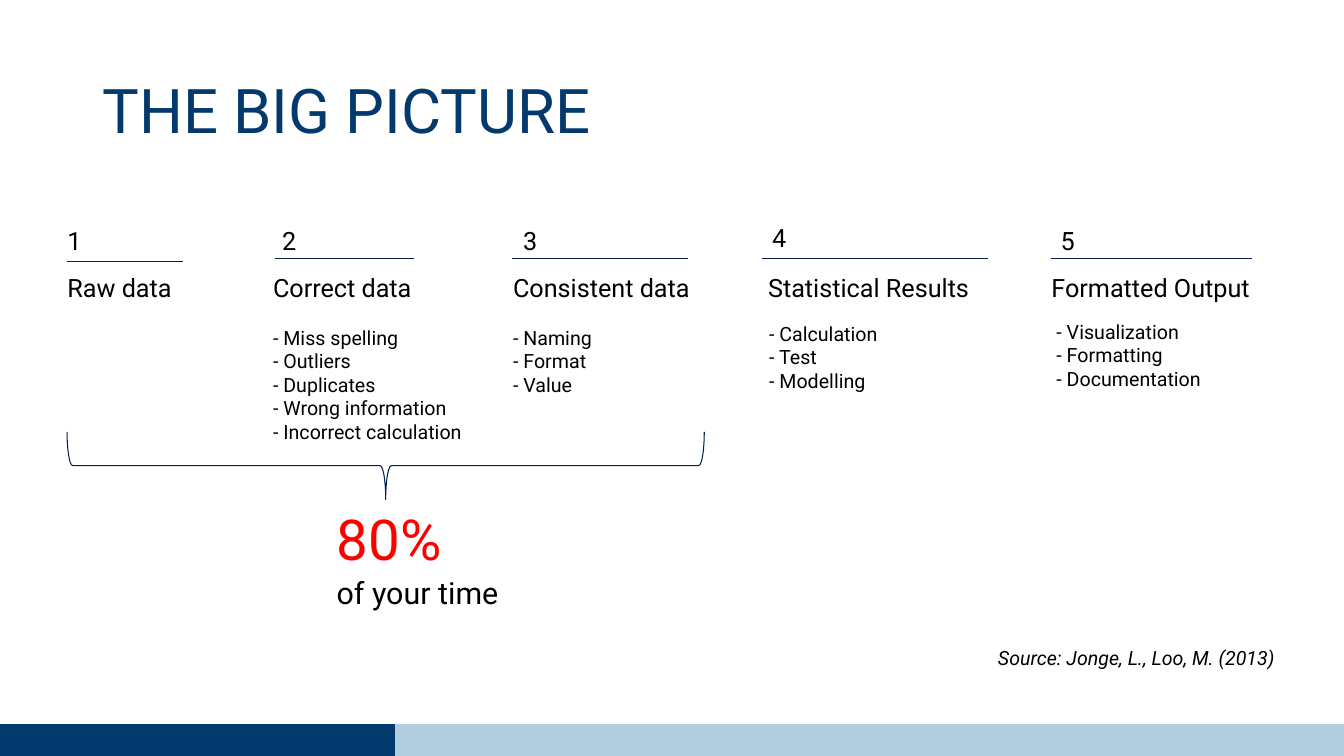
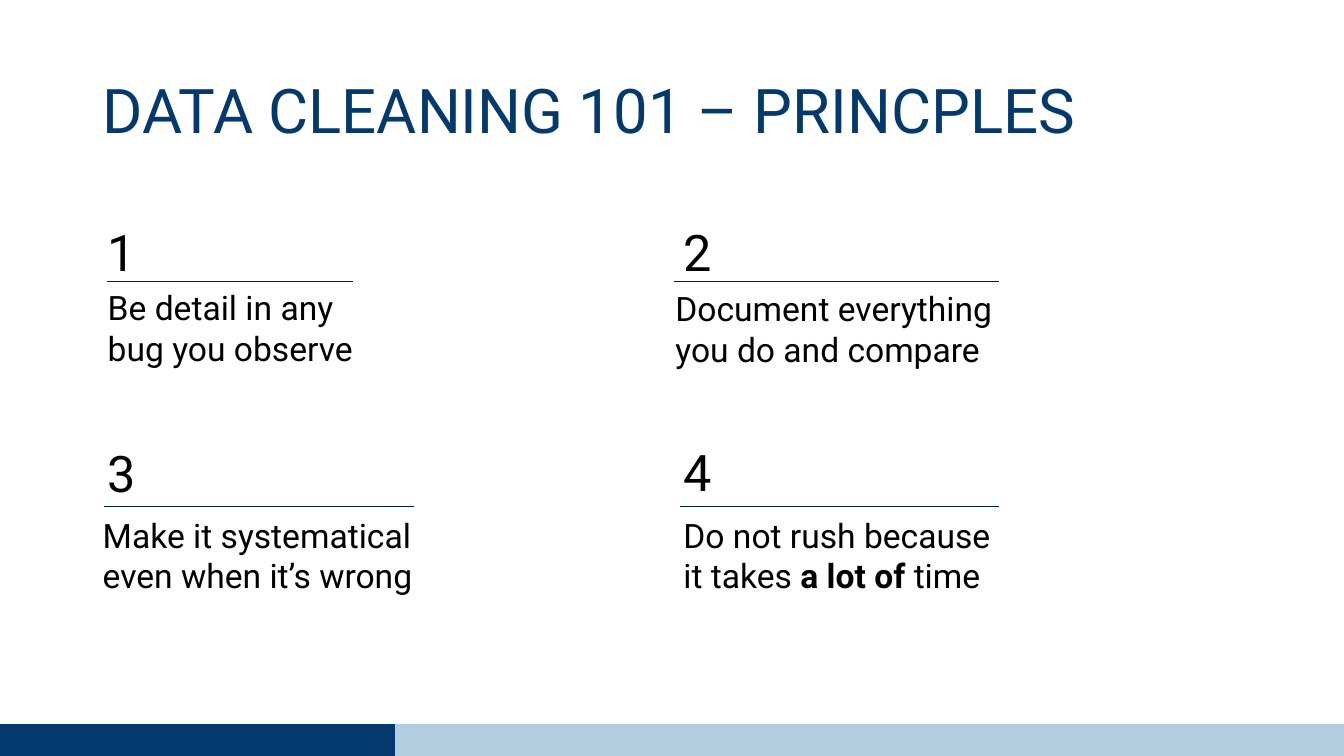
from dataclasses import dataclass

from lxml.etree import SubElement
from pptx import Presentation
from pptx.dml.color import RGBColor
from pptx.enum.shapes import MSO_CONNECTOR, MSO_SHAPE
from pptx.enum.text import MSO_ANCHOR
from pptx.oxml.ns import qn
from pptx.shapes.autoshape import Shape
from pptx.slide import Slide
from pptx.util import Inches, Pt


@dataclass(frozen=True)
class Theme:
    """Colours, font and type sizes of the deck."""
    font: str = "Roboto"
    navy: RGBColor = RGBColor(0x03, 0x39, 0x6C)
    pale: RGBColor = RGBColor(0xB3, 0xCD, 0xE0)
    rule: RGBColor = RGBColor(0x01, 0x1F, 0x4B)
    ink: RGBColor = RGBColor(0, 0, 0)
    alert: RGBColor = RGBColor(0xFF, 0, 0)
    title: float = 44
    figure: float = 40.3
    caption: float = 21.7
    number: float = 36
    principle: float = 24
    step: float = 18
    detail: float = 14


THEME = Theme()


@dataclass(frozen=True)
class Area:
    """A rectangle in inches."""
    left: float
    top: float
    width: float
    height: float


@dataclass(frozen=True)
class Band:
    """One coloured part of the footer."""
    area: Area
    color: RGBColor


@dataclass(frozen=True)
class Step:
    """One stage of the data process."""
    name: str
    number_left: float
    name_left: float
    rule_left: float
    rule_right: float
    details: tuple[str, ...] = ()
    detail_left: float = 0
    detail_top: float = 3.18
    number_top: float = 2.19
    rule_top: float = 2.56


@dataclass(frozen=True)
class Principle:
    """One numbered principle; bold marks the words to stress."""
    text: str
    number_left: float
    number_top: float
    area: Area
    rule_left: float
    rule_right: float
    rule_top: float
    bold: str = ""


BANDS = (
    Band(Area(0, 7.19, 4, 0.35), THEME.navy),
    Band(Area(3.92, 7.19, 9.42, 0.35), THEME.pale),
)

STEPS = (
    Step("Raw data", 0.57, 0.57, 0.66, 1.82, rule_top=2.59),
    Step("Correct data", 2.7, 2.61, 2.73, 4.11,
         ("- Miss spelling", "- Outliers", "- Duplicates",
          "- Wrong information", "- Incorrect calculation"), 2.61),
    Step("Consistent data", 5.09, 4.99, 5.08, 6.82,
         ("- Naming", "- Format", "- Value"), 4.99),
    Step("Statistical Results", 7.56, 7.52, 7.56, 9.8,
         ("- Calculation", "- Test", "- Modelling"), 7.53, 3.14,
         number_top=2.16),
    Step("Formatted Output", 10.42, 10.33, 10.42, 12.42,
         ("- Visualization", "- Formatting", "- Documentation"), 10.38, 3.12),
)

PRINCIPLES = (
    Principle("Be detail in any\nbug you observe", 0.97, 2.14,
              Area(0.97, 2.8, 3.26, 1.31), 1.06, 3.5, 2.79),
    Principle("Document everything you do and compare", 6.68, 2.14,
              Area(6.6, 2.81, 3.71, 1.31), 6.68, 9.91, 2.79),
    Principle("Make it systematical even when it’s wrong", 0.97, 4.34,
              Area(0.92, 5.06, 3.52, 1.31), 1.03, 4.11, 5.02),
    Principle("Do not rush because it takes a lot of time", 6.68, 4.33,
              Area(6.68, 5.06, 3.3, 0.91), 6.74, 9.91, 5.02, "a lot of"),
)


def add_text(page: Slide, area: Area, text: str, size: float,
             color: RGBColor = THEME.ink, wrap: bool = True) -> Shape:
    """Add a text box; each line of the text is a paragraph."""
    box = page.shapes.add_textbox(Inches(area.left), Inches(area.top),
                                  Inches(area.width), Inches(area.height))
    box.text_frame.word_wrap = wrap
    box.text_frame.text = text
    for para in box.text_frame.paragraphs:
        for span in para.runs:
            span.font.name = THEME.font
            span.font.size = Pt(size)
            span.font.color.rgb = color
    return box


def stress(box: Shape, words: str) -> None:
    """Make the given words of the first paragraph bold."""
    para = box.text_frame.paragraphs[0]
    first = para.runs[0]
    before, bold, after = first.text.partition(words)
    first.text = before
    for text, is_bold in ((bold, True), (after, False)):
        span = para.add_run()
        span.text = text
        span.font.name = THEME.font
        span.font.size = first.font.size
        span.font.color.rgb = first.font.color.rgb
        span.font.bold = is_bold


def add_rule(page: Slide, left: float, right: float, top: float) -> None:
    """Draw a thin horizontal line."""
    line = page.shapes.add_connector(MSO_CONNECTOR.STRAIGHT, Inches(left),
                                     Inches(top), Inches(right), Inches(top))
    line.line.color.rgb = THEME.rule
    line.line.width = Pt(0.5)
    SubElement(line._element.spPr, qn("a:effectLst"))


def add_page(deck: Presentation, title: str) -> Slide:
    """Add a blank slide with the footer bands and a title."""
    page = deck.slides.add_slide(deck.slide_layouts[6])
    for band in BANDS:
        area = band.area
        bar = page.shapes.add_shape(
            MSO_SHAPE.RECTANGLE, Inches(area.left), Inches(area.top),
            Inches(area.width), Inches(area.height))
        bar.shadow.inherit = False
        bar.fill.solid()
        bar.fill.fore_color.rgb = band.color
        bar.line.color.rgb = band.color
        bar.line.width = Pt(1)
    box = add_text(page, Area(0.92, 0.4, 11.5, 1.45), title, THEME.title,
                   THEME.navy)
    box.text_frame.vertical_anchor = MSO_ANCHOR.MIDDLE
    box.text_frame.paragraphs[0].line_spacing = 0.9
    return page


def add_step(page: Slide, number: int, step: Step) -> None:
    """Draw a stage: number, rule, name and details."""
    add_text(page, Area(step.number_left, step.number_top, 0.68, 0.4),
             str(number), THEME.step)
    add_rule(page, step.rule_left, step.rule_right, step.rule_top)
    add_text(page, Area(step.name_left, 2.65, 2.27, 0.4), step.name,
             THEME.step, wrap=False)
    if step.details:
        add_text(page, Area(step.detail_left, step.detail_top, 2.19, 0.81),
                 "\n".join(step.details), THEME.detail)


def add_principle(page: Slide, number: int, principle: Principle) -> None:
    """Draw a principle: number, rule and sentence."""
    add_text(page, Area(principle.number_left, principle.number_top,
                        0.63, 0.71), str(number), THEME.number)
    add_rule(page, principle.rule_left, principle.rule_right,
             principle.rule_top)
    box = add_text(page, principle.area, principle.text, THEME.principle)
    if principle.bold:
        stress(box, principle.bold)


def add_time_share(page: Slide) -> None:
    """Draw the brace under the first steps and the share of time."""
    brace = page.shapes.add_shape(MSO_SHAPE.RIGHT_BRACE, Inches(3.49),
                                  Inches(1.46), Inches(0.67), Inches(6.32))
    brace.rotation = 90
    brace.shadow.inherit = False
    brace.fill.background()
    brace.line.color.rgb = THEME.rule
    brace.line.width = Pt(0.75)
    box = add_text(page, Area(3.24, 5.14, 6.72, 1.03), "80%\nof your time",
                   THEME.caption)
    for para in box.text_frame.paragraphs:
        para.line_spacing = 0.7
        para.space_before = Pt(10)
    figure = box.text_frame.paragraphs[0].runs[0].font
    figure.size = Pt(THEME.figure)
    figure.color.rgb = THEME.alert


def add_big_picture(deck: Presentation) -> None:
    """Build the slide on the steps from raw data to output."""
    page = add_page(deck, "THE BIG PICTURE")
    for number, step in enumerate(STEPS, 1):
        add_step(page, number, step)
    add_time_share(page)
    source = add_text(page, Area(9.8, 6.36, 3.06, 0.34),
                      "Source: Jonge, L., Loo, M. (2013)", THEME.detail)
    source.text_frame.paragraphs[0].runs[0].font.italic = True


def add_principles(deck: Presentation) -> None:
    """Build the slide on the principles of data cleaning."""
    page = add_page(deck, "DATA CLEANING 101 – PRINCPLES")
    for number, principle in enumerate(PRINCIPLES, 1):
        add_principle(page, number, principle)


def main() -> None:
    """Build and save the deck."""
    deck = Presentation()
    deck.slide_width = Inches(13.33)
    deck.slide_height = Inches(7.5)
    add_big_picture(deck)
    add_principles(deck)
    deck.save("out.pptx")


main()
